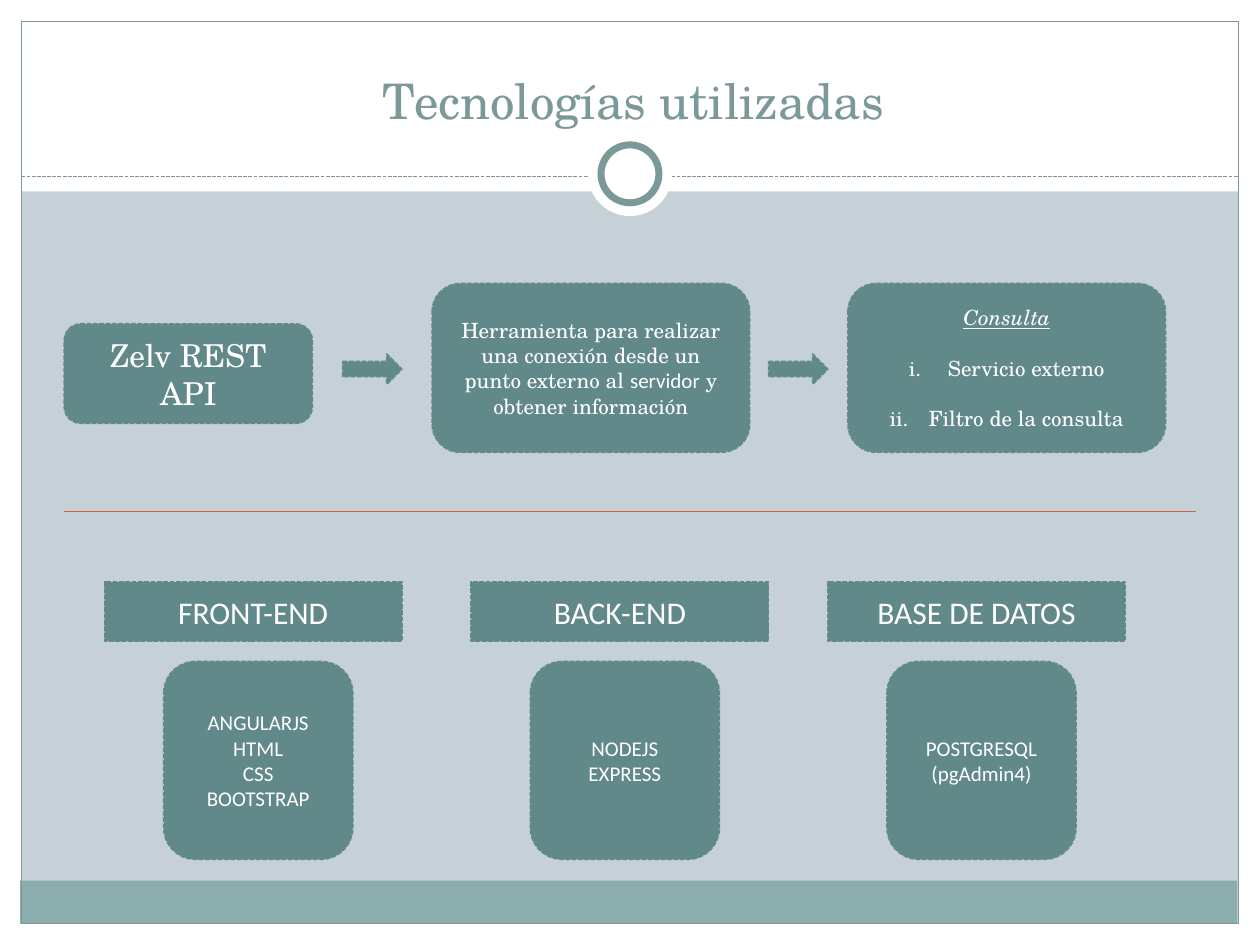
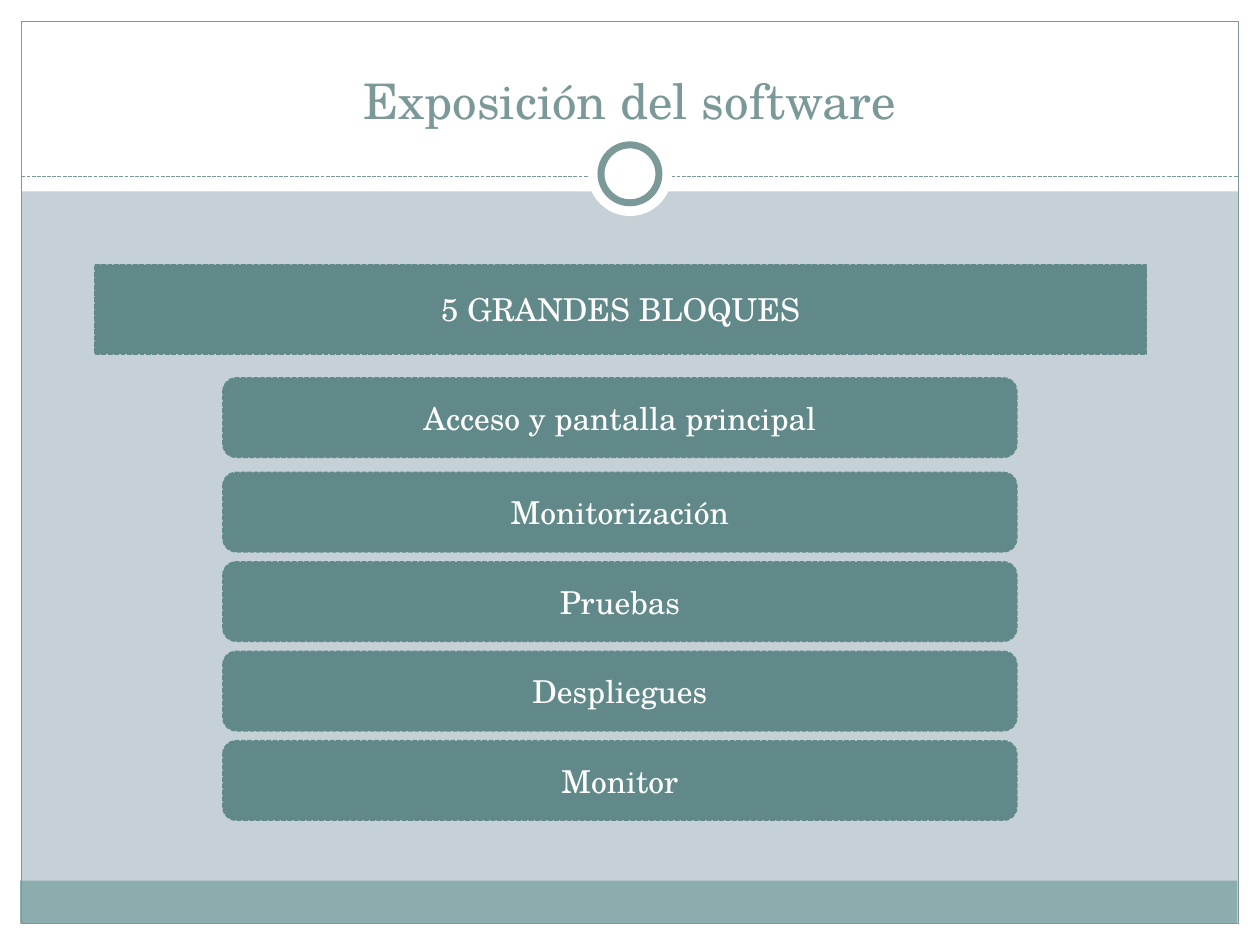
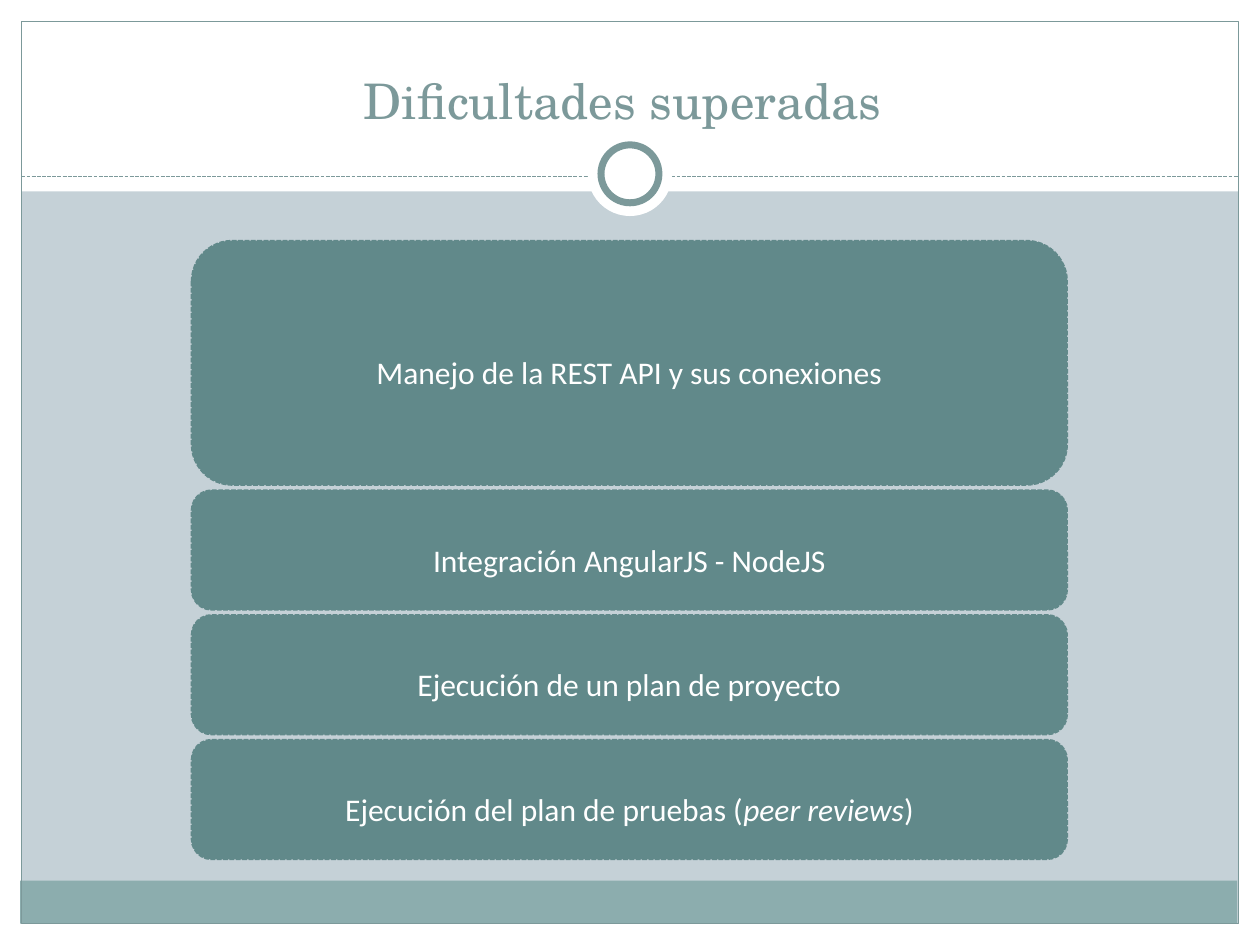
from collections import namedtuple
from pptx import Presentation
from pptx.dml.color import RGBColor
from pptx.enum.dml import MSO_LINE
from pptx.enum.shapes import MSO_CONNECTOR, MSO_SHAPE
from pptx.enum.text import MSO_ANCHOR, PP_ALIGN
from pptx.oxml.ns import qn
from pptx.util import Inches, Pt

WIDTH, HEIGHT = Inches(10), Inches(7.5)
COL, ROW = WIDTH / 100, HEIGHT / 75  # grid of 100 columns by 75 rows

WHITE = RGBColor(0xFF, 0xFF, 0xFF)
MIST = RGBColor(0xC5, 0xD1, 0xD7)
FOOTER = RGBColor(0x8C, 0xAD, 0xAE)
ACCENT = RGBColor(0x7C, 0x99, 0x9A)
TEAL = RGBColor(0x61, 0x89, 0x8A)
RUST = RGBColor(0xD1, 0x63, 0x49)
SERIF, SANS = "TeX Gyre Schola", "Calibri"

Box = namedtuple("Box", "left top width height")  # in columns and rows


def to_emu(box):
    return (round(box.left * COL), round(box.top * ROW),
            round(box.width * COL), round(box.height * ROW))


def set_line(line, color, weight, dashed=False):
    line.color.rgb = color
    line.width = Pt(weight)
    if dashed:
        line.dash_style = MSO_LINE.SQUARE_DOT


def add_plain(slide, kind, box, fill=None, outline=None):
    """Preset shape; outline is (color, weight[, dashed])."""
    shape = slide.shapes.add_shape(kind, *to_emu(box))
    shape.shadow.inherit = False
    if fill is None:
        shape.fill.background()
    else:
        shape.fill.solid()
        shape.fill.fore_color.rgb = fill
    if outline:
        set_line(shape.line, *outline)
    else:
        shape.line.fill.background()
    return shape


def add_rule(slide, left, right, row, *style):
    y = round(row * ROW)
    rule = slide.shapes.add_connector(
        MSO_CONNECTOR.STRAIGHT, round(left * COL), y, round(right * COL), y)
    set_line(rule.line, *style)
    properties = rule._element.spPr
    properties.append(properties.makeelement(qn("a:effectLst"), {}))


def write(shape, text, font, size, color=WHITE, anchor=MSO_ANCHOR.MIDDLE, spacing=None):
    frame = shape.text_frame
    frame.word_wrap = True
    frame.vertical_anchor = anchor
    frame.text = text
    for paragraph in frame.paragraphs:
        paragraph.alignment = PP_ALIGN.CENTER
        if spacing:
            paragraph.line_spacing = spacing
        for run in paragraph.runs:
            style_run(run, font, size, color)
    return frame.paragraphs


def style_run(run, font, size, color=WHITE):
    run.font.name = font
    run.font.size = Pt(size)
    run.font.color.rgb = color


def add_card(slide, kind, box, text="", font=SERIF, size=18, spacing=None):
    card = add_plain(slide, kind, box, TEAL, (TEAL, 0.9, True))
    return write(card, text, font, size, spacing=spacing)


def number_roman(paragraph):
    properties = paragraph._p.get_or_add_pPr()
    properties.set("marL", str(Inches(0.31)))
    properties.set("indent", str(-Inches(0.31)))
    properties.append(properties.makeelement(
        qn("a:buAutoNum"), {"type": "romanLcPeriod"}))


def add_themed_slide(deck, title, title_width=93.3):
    slide = deck.slides.add_slide(deck.slide_layouts[6])
    slide.background.fill.solid()
    slide.background.fill.fore_color.rgb = MIST

    # White margins, footer band and frame
    margin = 1.7
    for band in (Box(0, 75 - margin, 100, margin), Box(0, 0, 100, 15.2),
                 Box(0, 0, margin, 75), Box(100 - margin, 0, margin, 75)):
        add_plain(slide, MSO_SHAPE.RECTANGLE, band, WHITE)
    add_plain(slide, MSO_SHAPE.RECTANGLE, Box(1.6, 69.9, 96.6, 3.4), FOOTER)
    add_plain(slide, MSO_SHAPE.RECTANGLE,
              Box(margin, margin, 100 - 2 * margin, 75 - 2 * margin),
              outline=(ACCENT, 0.75))

    # Dashed rule with its ring
    add_rule(slide, margin, 100 - margin, 14, ACCENT, 0.75, True)
    for diameter, outline in ((6.7, None), (4.6, (ACCENT, 4))):
        ring = Box(50 - diameter / 2, 13.8 - diameter / 2, diameter, diameter)
        add_plain(slide, MSO_SHAPE.OVAL, ring, WHITE, outline)

    # Title
    heading = slide.shapes.add_textbox(*to_emu(Box(3.3, 2.5, title_width, 8.3)))
    write(heading, title, SERIF, 28, ACCENT, MSO_ANCHOR.BOTTOM)
    return slide


def add_api_flow(slide, box):
    """API name, its purpose and its query, joined by arrows."""
    rounded = MSO_SHAPE.FLOWCHART_ALTERNATE_PROCESS
    add_card(slide, rounded, Box(box.left, box.top + 3.2, 19.7, 7.9), "Zelv REST API")

    purpose, = add_card(slide, rounded, Box(box.left + 29.2, box.top, 25.2, box.height),
                        "Herramienta para realizar una conexión desde un punto externo al ",
                        size=12)
    for text, font in (("servidor", SANS), (" y obtener información", SERIF)):
        run = purpose.add_run()
        run.text = text
        style_run(run, font, 12)

    query, *steps = add_card(slide, rounded,
                             Box(box.left + 62.2, box.top, 25.2, box.height),
                             "Consulta\nServicio externo\nFiltro de la consulta", size=12)
    query.runs[0].font.italic = query.runs[0].font.underline = True
    for step in steps:
        number_roman(step)
        step.space_before = Pt(14.4)

    for offset in (22.1, 55.9):
        add_card(slide, MSO_SHAPE.RIGHT_ARROW,
                 Box(box.left + offset, box.top + 5.6, 4.7, 2.4))


def add_layer(slide, box, layer, tools):
    """Layer heading above the tools it uses."""
    add_card(slide, MSO_SHAPE.RECTANGLE, box._replace(height=4.7), layer, SANS)
    add_card(slide, MSO_SHAPE.FLOWCHART_ALTERNATE_PROCESS,
             Box(box.left + 4.7, box.top + 6.3, 15, box.height - 6.3), tools, SANS, 12)


def add_technologies(deck):
    slide = add_themed_slide(deck, "Tecnologías utilizadas", 93.9)
    add_api_flow(slide, Box(5.1, 22.5, 87.4, 13.4))
    add_rule(slide, 5.1, 94.9, 40.6, RUST, 0.75)
    for left, layer, tools in (
            (8.3, "FRONT-END", "ANGULARJS\nHTML\nCSS\nBOOTSTRAP"),
            (37.4, "BACK-END", "NODEJS\nEXPRESS"),
            (65.7, "BASE DE DATOS", "POSTGRESQL (pgAdmin4)")):
        add_layer(slide, Box(left, 46.2, 23.6, 22), layer, tools)


def add_block_list(slide, box, heading, blocks):
    """Full-width heading over narrower, evenly stepped blocks."""
    add_card(slide, MSO_SHAPE.RECTANGLE, box._replace(height=7.1), heading)
    pitch, first_gap = 7.1, 0.4
    for index, block in enumerate(blocks):
        top = box.top + 9 + index * pitch + (first_gap if index else 0)
        add_card(slide, MSO_SHAPE.ROUNDED_RECTANGLE,
                 Box(box.left + 10.2, top, box.width - 20.5, 6.3), block)


def add_software(deck):
    slide = add_themed_slide(deck, "Exposición del software")
    add_block_list(slide, Box(7.5, 21, 83.5, 44.1), "5 GRANDES BLOQUES",
                   ("Acceso y pantalla principal", "Monitorización", "Pruebas",
                    "Despliegues", "Monitor"))


def add_difficulty_stack(slide, box, difficulties):
    """Cards in equal rows; the first one spans two rows."""
    gap = 0.4
    pitch = (box.height + gap) / (len(difficulties) + 1)
    for index, difficulty in enumerate(difficulties):
        first_row, span = (index + 1, 1) if index else (0, 2)
        card = Box(box.left, box.top + first_row * pitch, box.width, span * pitch - gap)
        last, = add_card(slide, MSO_SHAPE.FLOWCHART_ALTERNATE_PROCESS, card,
                         difficulty, SANS, spacing=1.5)
    return last


def add_difficulties(deck):
    slide = add_themed_slide(deck, "Dificultades superadas ")
    reviews = add_difficulty_stack(
        slide, Box(15.2, 19.1, 69.5, 49.1),
        ("Manejo de la REST API y sus conexiones", "Integración AngularJS - NodeJS",
         "Ejecución de un plan de proyecto", "Ejecución del plan de pruebas ("))
    for text, italic in (("peer reviews", True), (")", False)):
        run = reviews.add_run()
        run.text = text
        style_run(run, SANS, 18)
        run.font.italic = italic


def main():
    deck = Presentation()
    deck.slide_width, deck.slide_height = WIDTH, HEIGHT
    add_technologies(deck)
    add_software(deck)
    add_difficulties(deck)
    deck.save("out.pptx")


if __name__ == "__main__":
    main()
